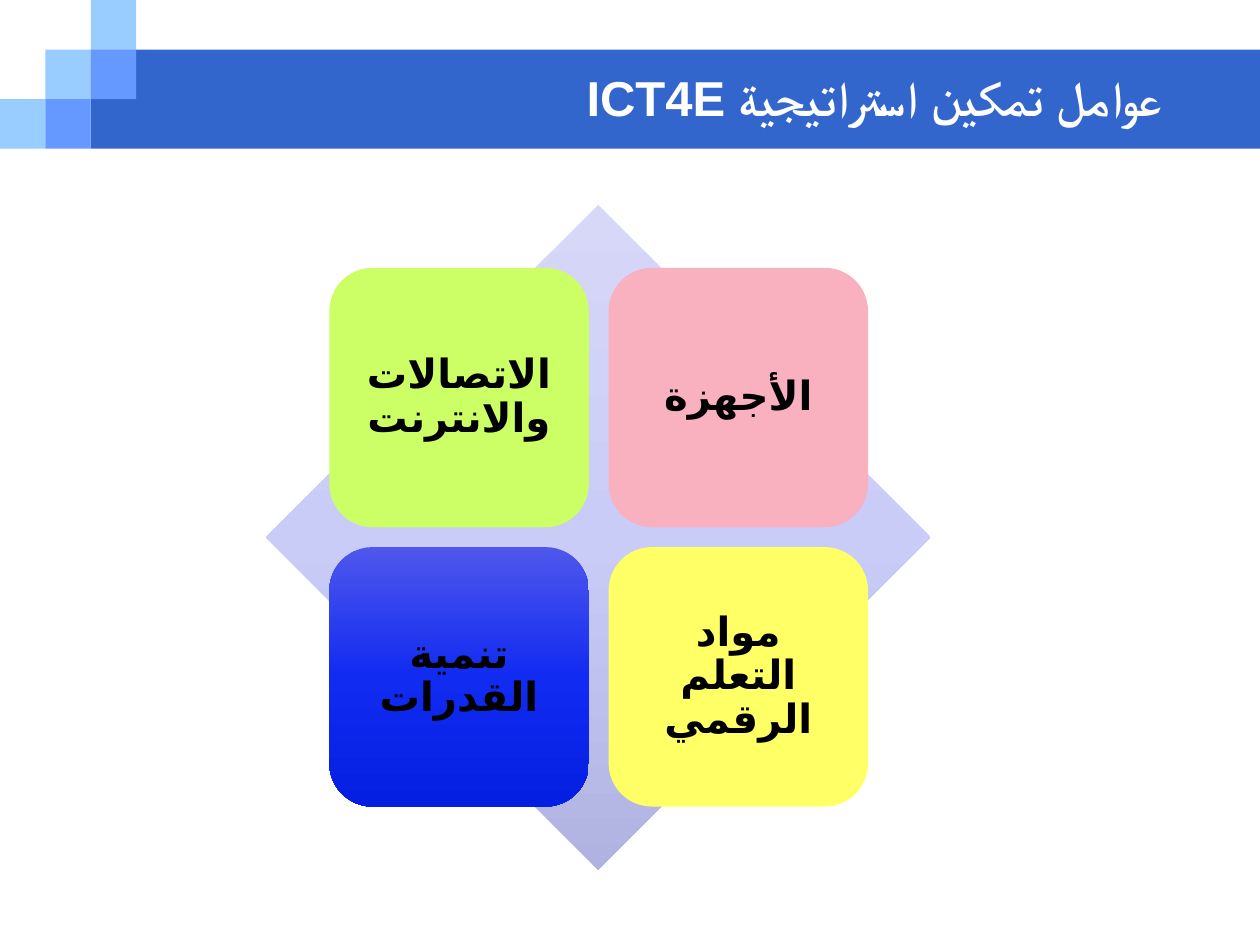
from copy import deepcopy

from pptx import Presentation
from pptx import util as u
from pptx.dml import color
from pptx.enum import shapes, text
from pptx.oxml import ns
from lxml import etree

HUES = {
    "band": "3366CC", "sky": "99CCFF", "blue": "6699FF",
    "white": "FFFFFF", "black": "000000",
    "lime": "CCFF66", "pink": "F9B1C0", "lemon": "FFFF66",
}
FADES = {
    "lilac": ("D7D7F8", "CACCF8", "B0B2E0"),
    "royal": ("4E57EC", "112BF1", "041EE2"),
}
KIND = shapes.MSO_SHAPE


def rgb(code):
    return color.RGBColor.from_string(code)


def fade(fill, codes):
    """Fill from top to bottom through evenly spaced colours."""
    fill.gradient()
    fill.gradient_angle = 270
    last = fill.gradient_stops[1]._gs
    while len(fill.gradient_stops) < len(codes):
        last.addprevious(deepcopy(last))
    for i, (stop, code) in enumerate(zip(fill.gradient_stops, codes)):
        stop.position = i / (len(codes) - 1)
        stop.color.rgb = rgb(code)


def block(slide, kind, left, top, width, height, hue):
    shape = slide.shapes.add_shape(
        kind, u.Cm(left), u.Cm(top), u.Cm(width), u.Cm(height))
    shape.shadow.inherit = False
    shape.line.fill.background()
    if hue in FADES:
        fade(shape.fill, FADES[hue])
    else:
        shape.fill.solid()
        shape.fill.fore_color.rgb = rgb(HUES[hue])
    return shape


def write(frame, words, face, size, hue, align):
    """Put one right-to-left paragraph into a frame."""
    frame.word_wrap = True
    frame.auto_size = text.MSO_AUTO_SIZE.NONE
    frame.vertical_anchor = text.MSO_ANCHOR.MIDDLE
    para = frame.paragraphs[0]
    para.alignment = align
    para._p.get_or_add_pPr().set("rtl", "1")
    run = para.add_run()
    run.text = words
    font = run.font
    font.name, font.size, font.bold = face, u.Pt(size), True
    font.color.rgb = rgb(HUES[hue])
    script = etree.SubElement(run._r.get_or_add_rPr(), ns.qn("a:cs"))
    script.set("typeface", face)
    return para


def header(slide):
    # Band with a staircase of squares
    block(slide, KIND.RECTANGLE, 1.83, 1, 23.57, 2, "band")
    wide, high = 0.915, 1
    steps = [(0, 2, "sky"), (1, 1, "sky"), (2, 0, "sky"),
             (2, 1, "blue"), (1, 2, "blue")]
    for col, row, hue in steps:
        block(slide, KIND.RECTANGLE, col * wide, row * high, wide, high, hue)

    # Title, raised above the band
    title = slide.shapes.title
    title.left, title.top = u.Cm(3.18), u.Cm(1.27)
    title.width, title.height = u.Cm(20.52), u.Cm(1.35)
    write(title.text_frame, "عوامل تمكين استراتيجية ICT4E",
          "Arial", 28, "white", text.PP_ALIGN.RIGHT)
    slide.shapes._spTree.append(title._element)


def card(slide, col, row, words, hue):
    side, pitch = 5.23, 5.63
    shape = block(slide, KIND.ROUNDED_RECTANGLE, 6.64 + col * pitch,
                  5.4 + row * pitch, side, side, hue)
    frame = shape.text_frame
    frame.margin_left = frame.margin_right = u.Cm(0.5)
    frame.margin_top = frame.margin_bottom = u.Cm(0.5)
    para = write(frame, words, "DejaVu Sans", 23, "black",
                 text.PP_ALIGN.CENTER)
    para.line_spacing = 0.9


def main():
    deck = Presentation()
    deck.slide_width, deck.slide_height = u.Cm(25.4), u.Cm(19.05)
    slide = deck.slides.add_slide(deck.slide_layouts[5])
    header(slide)

    # Four factors in front of a diamond
    block(slide, KIND.DIAMOND, 5.36, 4.13, 13.4, 13.4, "lilac")
    cards = [("الاتصالات والانترنت", "lime"), ("الأجهزة", "pink"),
             ("تنمية القدرات", "royal"), ("مواد التعلم الرقمي", "lemon")]
    for i, (words, hue) in enumerate(cards):
        card(slide, i % 2, i // 2, words, hue)

    deck.save("out.pptx")


if __name__ == "__main__":
    main()
